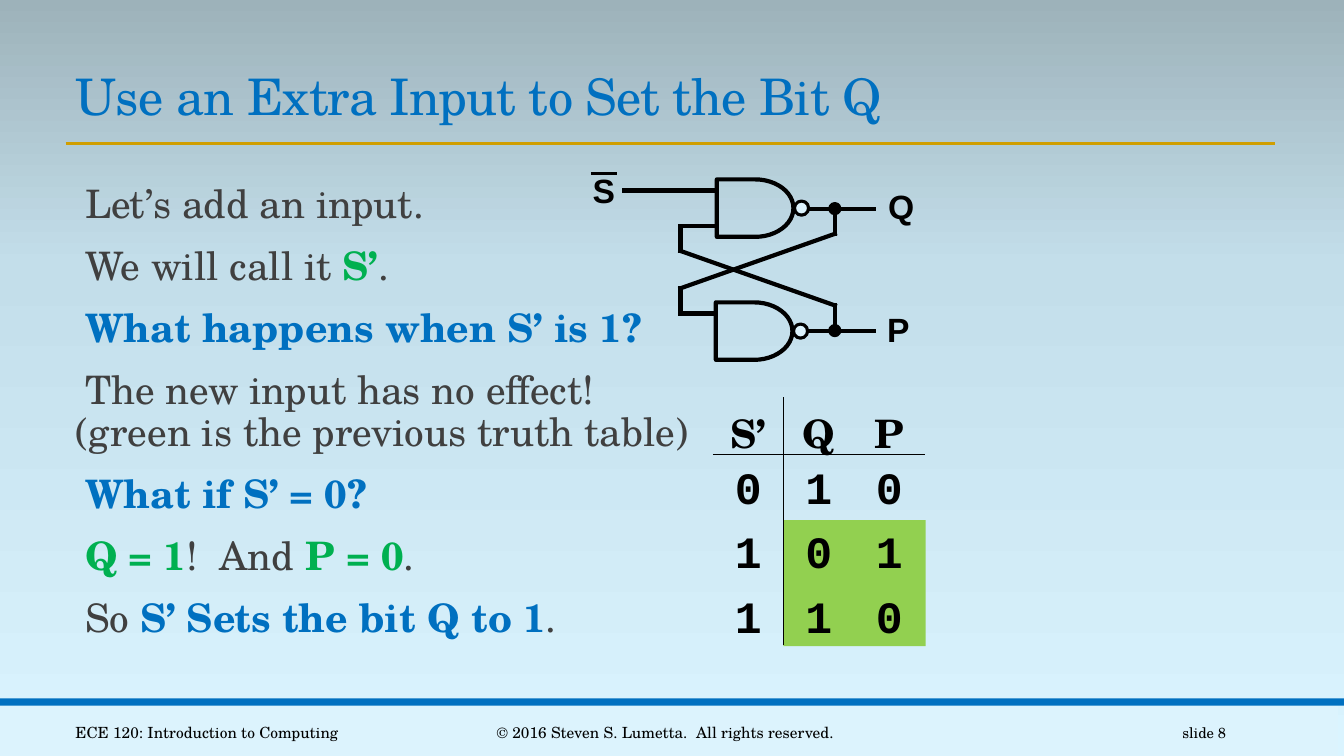
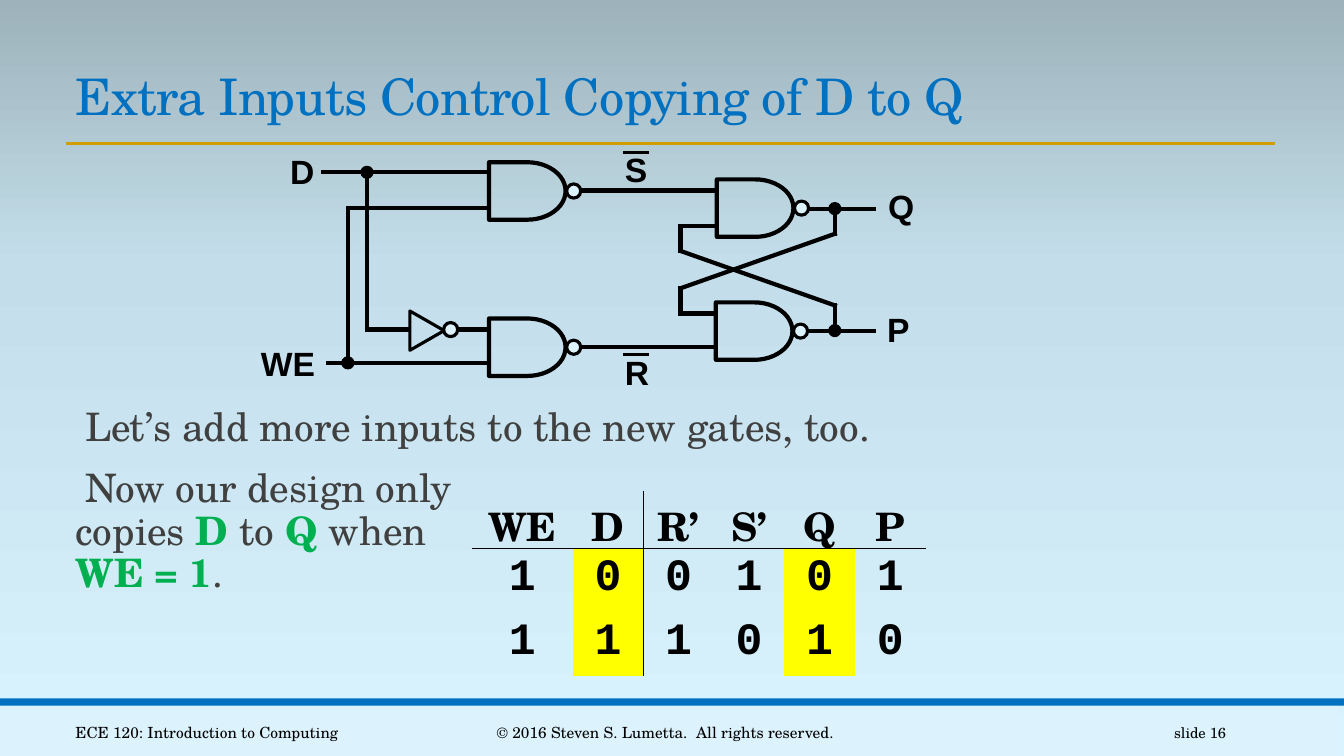
from itertools import pairwise

from lxml import etree
from pptx import Presentation
from pptx.dml.color import RGBColor
from pptx.enum.shapes import MSO_CONNECTOR, MSO_SHAPE
from pptx.enum.text import MSO_ANCHOR, PP_ALIGN
from pptx.oxml.ns import qn
from pptx.util import Inches, Pt

STRAIGHT = MSO_CONNECTOR.STRAIGHT
RECTANGLE, OVAL = MSO_SHAPE.RECTANGLE, MSO_SHAPE.OVAL
TRIANGLE, DELAY = MSO_SHAPE.ISOSCELES_TRIANGLE, MSO_SHAPE.FLOWCHART_DELAY
LEFT, CENTER, RIGHT = PP_ALIGN.LEFT, PP_ALIGN.CENTER, PP_ALIGN.RIGHT
TOP, MIDDLE, BOTTOM = MSO_ANCHOR.TOP, MSO_ANCHOR.MIDDLE, MSO_ANCHOR.BOTTOM

COLORS = {
    "blue": "0070C0", "gold": "D09E00", "green": "00B050", "text": "404040",
    "black": "000000", "pale": "DCF3FD", "lime": "92D050", "yellow": "FFFF00",
}
BACKGROUND = [(0, "DAF4FF"), (65, "C3DEEA"), (100, "9DB2BA")]
SERIF, SANS, MONO = "TeX Gyre Schola", "Arial", "Courier New"

# Gate and table measures, in inches
GATE_WIDTH, GATE_HEIGHT, BUBBLE, DOT = 0.76, 0.57, 0.14, 0.1
HEADER_HEIGHT, ROW_HEIGHT, COLUMN = 0.57, 0.63, 0.7


def color(name):
    return RGBColor.from_string(COLORS[name])


def inches(*lengths):
    return [Inches(length) for length in lengths]


# ---- Basic parts ----
def add_spans(para, spans, size, font, tint="black", bold=False, spacing=None):
    """Fill a paragraph; a span is text, or (text, colour) for bold emphasis."""
    for span in [spans] if isinstance(spans, str) else spans:
        words, shade, heavy = (span, tint, bold) if isinstance(span, str) else (*span, True)
        for number, line in enumerate(words.split("\n")):
            if number:
                para.add_line_break()
            if not line:
                continue
            run = para.add_run()
            run.text = line
            run.font.size, run.font.name, run.font.bold = Pt(size), font, heavy
            run.font.color.rgb = color(shade)
            if spacing is not None:
                run.font._element.set("spc", str(int(spacing * 100)))


def add_text(page, at, paragraphs, align=LEFT, anchor=TOP, wrap=True,
             line_spacing=None, before=0, after=0, **span_format):
    box = page.shapes.add_textbox(*inches(*at))
    frame = box.text_frame
    frame.word_wrap, frame.vertical_anchor = wrap, anchor
    for number, spans in enumerate(paragraphs):
        para = frame.add_paragraph() if number else frame.paragraphs[0]
        para.alignment = align
        para.space_before, para.space_after = Pt(before), Pt(after)
        if line_spacing:
            para.line_spacing = line_spacing
        add_spans(para, spans, **span_format)
    return frame


def add_shape(page, kind, at, fill=None, line=None, rotation=0):
    shape = page.shapes.add_shape(kind, *inches(*at))
    shape.shadow.inherit = False
    shape.rotation = rotation
    if fill:
        shape.fill.solid()
        shape.fill.fore_color.rgb = color(fill)
    else:
        shape.fill.background()
    if line:
        shape.line.color.rgb, shape.line.width = color("black"), Pt(line)
    else:
        shape.line.fill.background()


def add_line(page, start, end, tint="black", width=2, cap="flat"):
    line = page.shapes.add_connector(STRAIGHT, *inches(*start, *end))
    line.line.color.rgb, line.line.width = color(tint), Pt(width)
    line.line._get_or_add_ln().set("cap", cap)
    etree.SubElement(line._element.spPr, qn("a:effectLst"))


# ---- Slide frame ----
def set_background(page):
    fill = page.background.fill
    fill.gradient()
    fill.gradient_angle = 90
    stops = page._element.find(".//" + qn("a:gsLst"))
    for stop in list(stops):
        stops.remove(stop)
    for position, shade in BACKGROUND:
        stop = etree.SubElement(stops, qn("a:gs"), pos=str(position * 1000))
        etree.SubElement(stop, qn("a:srgbClr"), val=shade)


def add_frame(deck, title, number):
    """Start a slide with its background, bands, title and footer."""
    page = deck.slides.add_slide(deck.slide_layouts[6])
    set_background(page)
    add_shape(page, RECTANGLE, (-0.06, 7, 13.33, 0.5), fill="pale")
    add_shape(page, RECTANGLE, (0, 6.93, 13.33, 0.07), fill="blue")
    add_line(page, (0.65, 1.42), (12.65, 1.42), tint="gold")
    add_text(page, (0.65, 0.59, 12.01, 0.71), [title], anchor=BOTTOM,
             line_spacing=0.85, size=36, font=SERIF, tint="blue", spacing=-0.5)
    footers = [
        (0.65, 3.25, "ECE 120: Introduction to Computing", LEFT, 11),
        (4.03, 5.14, "© 2016 Steven S. Lumetta.  All rights reserved.", CENTER, 11),
        (10.83, 1.43, f"slide {number}", RIGHT, 10.5),
    ]
    for left, width, words, align, size in footers:
        add_text(page, (left, 7.07, width, 0.4), [words], align=align,
                 anchor=MIDDLE, size=size, font=SERIF)
    return page


def add_body(page, at, paragraphs):
    """Text whose paragraphs hang from a blank bullet."""
    frame = add_text(page, at, paragraphs, line_spacing=0.9, before=12, after=2,
                     size=28, font=SERIF, tint="text")
    frame.margin_left = frame.margin_right = 0
    indent = Inches(0.1)
    for para in frame.paragraphs:
        properties = para._p.get_or_add_pPr()
        properties.set("marL", str(indent))
        properties.set("indent", str(-indent))
        etree.SubElement(properties, qn("a:buChar"), char=" ")


# ---- Circuit parts ----
def add_wire(page, left, top, *points):
    """Draw a chain of segments through points measured from (left, top)."""
    corners = [(left + x, top + y) for x, y in points]
    for start, end in pairwise(corners):
        add_line(page, start, end, width=3, cap="sq")


def add_bubble(page, left, top):
    add_shape(page, OVAL, (left, top, BUBBLE, BUBBLE), fill="pale", line=2.25)


def add_gate(page, left, top):
    add_shape(page, DELAY, (left, top, GATE_WIDTH, GATE_HEIGHT), line=3)
    add_bubble(page, left + GATE_WIDTH + 0.01, top + (GATE_HEIGHT - BUBBLE) / 2)


def add_dot(page, x, y):
    add_shape(page, OVAL, (x - DOT / 2, y - DOT / 2, DOT, DOT), fill="black", line=2.25)


def add_label(page, left, top, words, width=0.45, barred=False):
    add_text(page, (left, top, width, 0.5), [words], wrap=False,
             size=24, font=SANS, bold=True)
    if barred:
        add_line(page, (left + 0.08, top + 0.08), (left + 0.34, top + 0.08))


def add_latch(page, left, top):
    """Two cross-coupled NAND gates with outputs Q and P."""
    upper, lower, cross = 0.29, 1.5, 1.53
    add_wire(page, left, top, (0.35, 0.46), (0, 0.46), (0, 0.71), (cross, 1.25), (cross, lower))
    add_wire(page, left, top, (0.33, 1.33), (0, 1.33), (0, 1.08), (cross, 0.54), (cross, upper))
    for name, gate_left, gate_top, output in (("Q", 0.36, 0, upper), ("P", 0.35, 1.22, lower)):
        add_wire(page, left, top, (gate_left + GATE_WIDTH + 0.05, output), (1.92, output))
        add_gate(page, left + gate_left, top + gate_top)
        add_dot(page, left + cross, top + output)
        add_label(page, left + gate_left + 1.6, top + gate_top + 0.02, name)


def add_input_logic(page, left, top):
    """Gates that pass D on to the latch while WE is 1."""
    gate_left, d_line, we_line = 2.36, 1.15, 0.96
    # D, its inverted branch and WE
    add_wire(page, left, top, (0.71, 0.1), (gate_left, 0.1))
    add_wire(page, left, top, (d_line, 0.1), (d_line, 1.66), (1.56, 1.66))
    add_wire(page, left, top, (2.05, 1.66), (gate_left, 1.66))
    add_wire(page, left, top, (0.76, 1.99), (gate_left, 1.99))
    add_wire(page, left, top, (we_line, 1.99), (we_line, 0.45), (gate_left, 0.45))
    add_dot(page, left + d_line, top + 0.1)
    add_dot(page, left + we_line, top + 1.99)
    # Inverter
    add_shape(page, TRIANGLE, (left + 1.55, top + 1.5, 0.39, 0.34), line=2.25, rotation=90)
    add_bubble(page, left + 1.91, top + 1.59)
    # Gates and the lines to the latch
    for gate_top, name, label_top in ((0, "S", -0.18), (1.55, "R", 1.83)):
        output = gate_top + 0.28
        add_wire(page, left, top, (gate_left + GATE_WIDTH + 0.05, output), (4.6, output))
        add_gate(page, left + gate_left, top + gate_top)
        add_label(page, left + 3.61, top + label_top, name, barred=True)
    add_label(page, left + 0.29, top - 0.16, "D")
    add_label(page, left, top + 1.74, "WE", width=0.74)


# ---- Truth tables ----
def set_borders(cell, ruled):
    properties = cell._tc.get_or_add_tcPr()
    for place, edge in enumerate("LRTB"):
        line = etree.Element(qn(f"a:ln{edge}"), w=str(Pt(1)))
        if edge in ruled:
            fill = etree.SubElement(line, qn("a:solidFill"))
            etree.SubElement(fill, qn("a:srgbClr"), val=COLORS["black"])
        else:
            etree.SubElement(line, qn("a:noFill"))
        properties.insert(place, line)


def add_truth_table(page, left, top, names, rows, inputs, first_width=COLUMN, shaded=()):
    """A rule follows the input columns; shaded lists columns filled yellow."""
    widths = [first_width] + [COLUMN] * (len(names) - 1)
    heights = [HEADER_HEIGHT] + [ROW_HEIGHT] * len(rows)
    table = page.shapes.add_table(
        len(heights), len(widths), *inches(left, top, sum(widths), sum(heights))).table
    table.first_row = table.horz_banding = False
    for column, width in zip(table.columns, widths):
        column.width = Inches(width)
    for row, height in zip(table.rows, heights):
        row.height = Inches(height)
    for r, values in enumerate([names, *rows]):
        for c, value in enumerate(values):
            cell = table.cell(r, c)
            cell.margin_left = cell.margin_right = 0
            para = cell.text_frame.paragraphs[0]
            para.alignment = CENTER
            size, font = (32, MONO) if r else (28, SERIF)
            add_spans(para, value, size=size, font=font, bold=True)
            if r and c in shaded:
                cell.fill.solid()
                cell.fill.fore_color.rgb = color("yellow")
            else:
                cell.fill.background()
            edges = {0: "B", 1: "T"}.get(r, "")
            edges += {inputs - 1: "R", inputs: "L"}.get(c, "")
            set_borders(cell, edges)


def add_digits(page, left, top, rows):
    """Digits laid over an empty table body."""
    for r, digits in enumerate(rows):
        for c, digit in enumerate(digits):
            at = (left + 0.12 + c * COLUMN, top + r * (ROW_HEIGHT + 0.01), 0.47, 0.64)
            add_text(page, at, [digit], wrap=False, size=32, font=MONO, bold=True)


# ---- Slides ----
def add_set_slide(deck):
    page = add_frame(deck, "Use an Extra Input to Set the Bit Q", 8)
    add_body(page, (0.65, 1.78, 8.52, 4.64), [
        "Let’s add an input.",
        ["We will call it ", ("S’", "green"), "."],
        [("What happens when S’ is 1?", "blue")],
        "The new input has no effect!\n(green is the previous truth table)",
        [("What if S’ = 0?", "blue")],
        [("Q = 1", "green"), "!  And ", ("P = 0", "green"), "."],
        ["So ", ("S’ Sets the bit Q to 1", "blue"), "."],
    ])
    add_wire(page, 6.19, 1.89, (0, 0), (0.91, 0))
    add_latch(page, 6.75, 1.78)
    add_label(page, 5.78, 1.64, "S", barred=True)
    add_shape(page, RECTANGLE, (7.77, 5.16, 1.41, 1.25), fill="lime")
    add_truth_table(page, 7.07, 3.94, ["S’", "Q", "P"], [[""] * 3] * 3, inputs=1)
    add_digits(page, 7.07, 4.51, ["010", "101", "110"])


def add_copy_slide(deck):
    page = add_frame(deck, "Extra Inputs Control Copying of D to Q", 16)
    add_body(page, (0.65, 3.99, 8.52, 2.43), [
        "Let’s add more inputs to the new gates, too.",
        ["Now our design only\ncopies ", ("D", "green"), " to ", ("Q", "green"),
         " when\n", ("WE = 1", "green"), "."],
    ])
    add_input_logic(page, 2.49, 1.61)
    add_latch(page, 6.75, 1.78)
    add_truth_table(page, 4.68, 4.87, ["WE", "D", "R’", "S’", "Q", "P"],
                    ["100101", "111010"], inputs=2, first_width=1, shaded=(1, 4))


def main():
    deck = Presentation()
    deck.slide_width, deck.slide_height = inches(13.33, 7.5)
    add_set_slide(deck)
    add_copy_slide(deck)
    deck.save("out.pptx")


if __name__ == "__main__":
    main()
